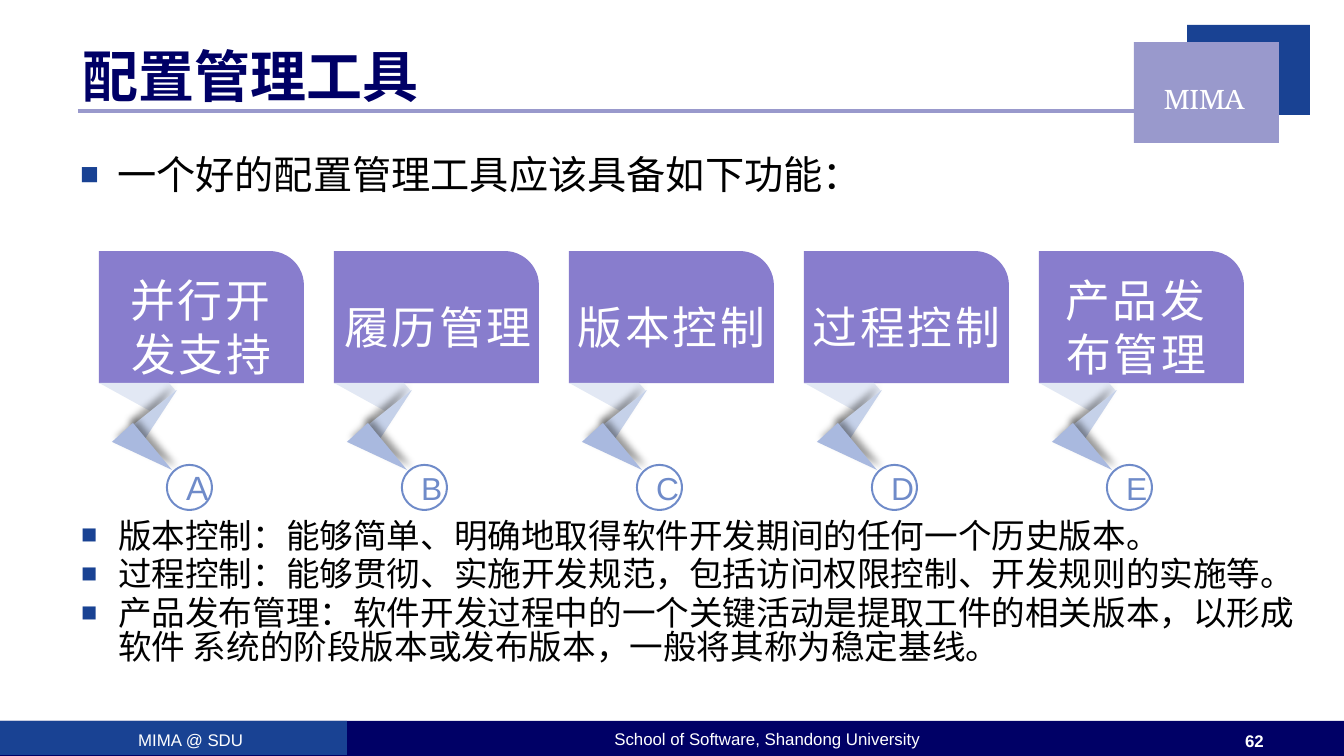
from dataclasses import dataclass

from lxml.etree import SubElement
from pptx import Presentation
from pptx.dml.color import RGBColor
from pptx.enum.shapes import MSO_CONNECTOR as Connector, MSO_SHAPE as Shape
from pptx.enum.text import MSO_ANCHOR as Anchor, PP_ALIGN as Align
from pptx.oxml.ns import qn
from pptx.util import Pt

EMU_PER_PX = 914400 / 134.4
CJK, LATIN, SERIF = "Noto Sans CJK SC", "Arial", "TeX Gyre Bonum"
NAVY, BLUE, LILAC, WHITE = "000066", "194293", "9999CC", "FFFFFF"

# Column geometry
FIRST_LEFT, PITCH = 99, 235
CARD_TOP, CARD_WIDTH, CARD_HEIGHT = 251, 205, 132
CARD_BOTTOM = CARD_TOP + CARD_HEIGHT


@dataclass(frozen=True)
class Style:
    size: int
    color: str
    font: str = LATIN
    bold: bool = False
    align: Align = Align.CENTER
    anchor: Anchor = Anchor.TOP
    spacing: int = 0
    line_spacing: float = 1.0


@dataclass(frozen=True)
class Panel:
    left: int
    top: int
    width: int
    height: int
    color: str


@dataclass(frozen=True)
class Caption:
    text: str
    left: int
    top: int
    width: int
    height: int
    style: Style


@dataclass(frozen=True)
class Feature:
    letter: str
    label: str
    label_left: int
    label_width: int
    letter_size: int = 17


@dataclass(frozen=True)
class Fold:
    points: tuple
    color: str
    shadow_angle: int | None = None


FOOTER = Style(9, WHITE)
PANELS = (
    Panel(0, 721, 1344, 35, NAVY),
    Panel(1187, 25, 123, 90, BLUE),
    Panel(1134, 42, 145, 101, LILAC),
    Panel(0, 721, 347, 34, BLUE),
)
CAPTIONS = (
    Caption("MIMA", 1120, 75, 168, 47, Style(15, WHITE, SERIF)),
    Caption("MIMA @ SDU", 34, 723, 313, 19, FOOTER),
    Caption("School of Software, Shandong University", 386, 722, 762, 28, FOOTER),
    Caption("62", 1223, 724, 63, 20, Style(9, WHITE, bold=True)),
    Caption("配置管理工具", 69, 39, 1087, 73,
            Style(30, NAVY, CJK, True, Align.LEFT, Anchor.MIDDLE)),
)
FEATURES = (
    Feature("A", "并行开发支持", 109, 185, 18),
    Feature("B", "履历管理", 321, 234),
    Feature("C", "版本控制", 554, 235),
    Feature("D", "过程控制", 786, 241),
    Feature("E", "产品发布管理", 1044, 185),
)
# Ribbon folds, measured from the lower left corner of a card
FOLDS = (
    Fold(((0, 0), (70, 0), (77, 8), (51, 28), (2, 1)), "E2E8F4"),
    Fold(((78, 7), (46, 56), (34, 42)), "C5D1E9", 225),
    Fold(((13, 59), (73, 87), (34, 40)), "A9B9DF", 315),
)
DETAILS = (
    "版本控制：能够简单、明确地取得软件开发期间的任何一个历史版本。",
    "过程控制：能够贯彻、实施开发规范，包括访问权限控制、开发规则的实施等。",
    "产品发布管理：软件开发过程中的一个关键活动是提取工件的相关版本，以形成软件 系统的阶段版本或发布版本，一般将其称为稳定基线。",
)


def px(value: float) -> int:
    return round(value * EMU_PER_PX)


def rgb(color: str) -> RGBColor:
    return RGBColor.from_string(color)


def paint(shape, color: str) -> None:
    shape.shadow.inherit = False
    shape.fill.solid()
    shape.fill.fore_color.rgb = rgb(color)
    shape.line.fill.background()


def add_panel(shapes, kind: Shape, panel: Panel):
    shape = shapes.add_shape(kind, px(panel.left), px(panel.top),
                             px(panel.width), px(panel.height))
    paint(shape, panel.color)
    return shape


def format_paragraph(paragraph, style: Style) -> None:
    paragraph.alignment = style.align
    paragraph.line_spacing = style.line_spacing
    for run in paragraph.runs:
        run.font.size, run.font.bold = Pt(style.size), style.bold
        run.font.color.rgb = rgb(style.color)
        run.font.name = style.font
        properties = run.font._element
        if style.font == CJK:
            SubElement(properties, qn("a:ea")).set("typeface", CJK)
        if style.spacing:
            properties.set("spc", str(style.spacing))


def add_caption(shapes, caption: Caption):
    box = shapes.add_textbox(px(caption.left), px(caption.top),
                             px(caption.width), px(caption.height))
    frame = box.text_frame
    frame.word_wrap = True
    frame.vertical_anchor = caption.style.anchor
    frame.text = caption.text
    for paragraph in frame.paragraphs:
        format_paragraph(paragraph, caption.style)
    return frame


def add_bullets(shapes, caption: Caption, inset_top: int) -> None:
    frame = add_caption(shapes, caption)
    frame.margin_top = px(inset_top)
    for index, paragraph in enumerate(frame.paragraphs):
        if index:
            paragraph.space_before = Pt(round(caption.style.size * 0.15, 1))
        properties = paragraph._p.get_or_add_pPr()
        properties.set("marL", str(px(37)))
        properties.set("indent", str(px(-37)))
        bullet_color = SubElement(properties, qn("a:buClr"))
        SubElement(bullet_color, qn("a:srgbClr")).set("val", BLUE)
        SubElement(properties, qn("a:buSzPct")).set("val", "80000")
        SubElement(properties, qn("a:buFont")).set("typeface", LATIN)
        SubElement(properties, qn("a:buChar")).set("char", "■")


def add_shadow(shape, angle: int) -> None:
    effects = shape._element.spPr.find(qn("a:effectLst"))
    shadow = SubElement(effects, qn("a:outerShdw"), blurRad=str(Pt(4)),
                        dist=str(Pt(3)), dir=str(angle * 60000), rotWithShape="0")
    color = SubElement(shadow, qn("a:srgbClr"), val="000000")
    SubElement(color, qn("a:alpha"), val="40000")


def add_fold(shapes, fold: Fold, left: int) -> None:
    points = [(left + x, CARD_BOTTOM + y) for x, y in fold.points]
    builder = shapes.build_freeform(*points[0], scale=EMU_PER_PX)
    builder.add_line_segments(points[1:], close=True)
    shape = builder.convert_to_shape()
    paint(shape, fold.color)
    if fold.shadow_angle is not None:
        add_shadow(shape, fold.shadow_angle)


def add_feature(shapes, feature: Feature, left: int) -> None:
    group = shapes.add_group_shape().shapes
    card = add_panel(group, Shape.ROUND_1_RECTANGLE,
                     Panel(left, CARD_TOP, CARD_WIDTH, CARD_HEIGHT, "887DCD"))
    card.adjustments[0] = 0.26
    for fold in FOLDS:
        add_fold(group, fold, left)
    ring = add_panel(group, Shape.DONUT, Panel(left + 67, 464, 47, 47, "6F8BC9"))
    ring.adjustments[0] = 0.04
    ring.text_frame.word_wrap = True
    ring.text_frame.text = feature.letter
    format_paragraph(ring.text_frame.paragraphs[0], Style(feature.letter_size, "6F8BC9"))


def main() -> None:
    presentation = Presentation()
    presentation.slide_width, presentation.slide_height = px(1344), px(756)
    slide = presentation.slides.add_slide(presentation.slide_layouts[6])
    shapes = slide.shapes

    # Title rule, corner squares, footer bars and captions
    rule = shapes.add_connector(Connector.STRAIGHT, px(78), px(111), px(1142), px(111))
    rule.line.color.rgb, rule.line.width = rgb(LILAC), Pt(2.25)
    SubElement(rule._element.spPr, qn("a:effectLst"))
    for panel in PANELS:
        add_panel(shapes, Shape.RECTANGLE, panel)
    for caption in CAPTIONS:
        add_caption(shapes, caption)

    # Lead sentence
    lead = Style(21, "000000", CJK, align=Align.LEFT)
    add_bullets(shapes, Caption("一个好的配置管理工具应该具备如下功能：", 67, 148, 1210, 95, lead), 2)

    # Feature columns, then their labels on top
    for index, feature in enumerate(FEATURES):
        add_feature(shapes, feature, FIRST_LEFT + index * PITCH)
    label_style = Style(24, WHITE, CJK, anchor=Anchor.MIDDLE, spacing=150)
    for feature in FEATURES:
        frame = add_caption(shapes, Caption(feature.label, feature.label_left, 276,
                                            feature.label_width, 93, label_style))
        frame.margin_top, frame.margin_bottom = px(8), 0

    # Explanations
    detail = Style(18, "000000", CJK, align=Align.LEFT, line_spacing=0.84)
    add_bullets(shapes, Caption("\n".join(DETAILS), 68, 511, 1255, 152, detail), 10)

    presentation.save("out.pptx")


if __name__ == "__main__":
    main()
